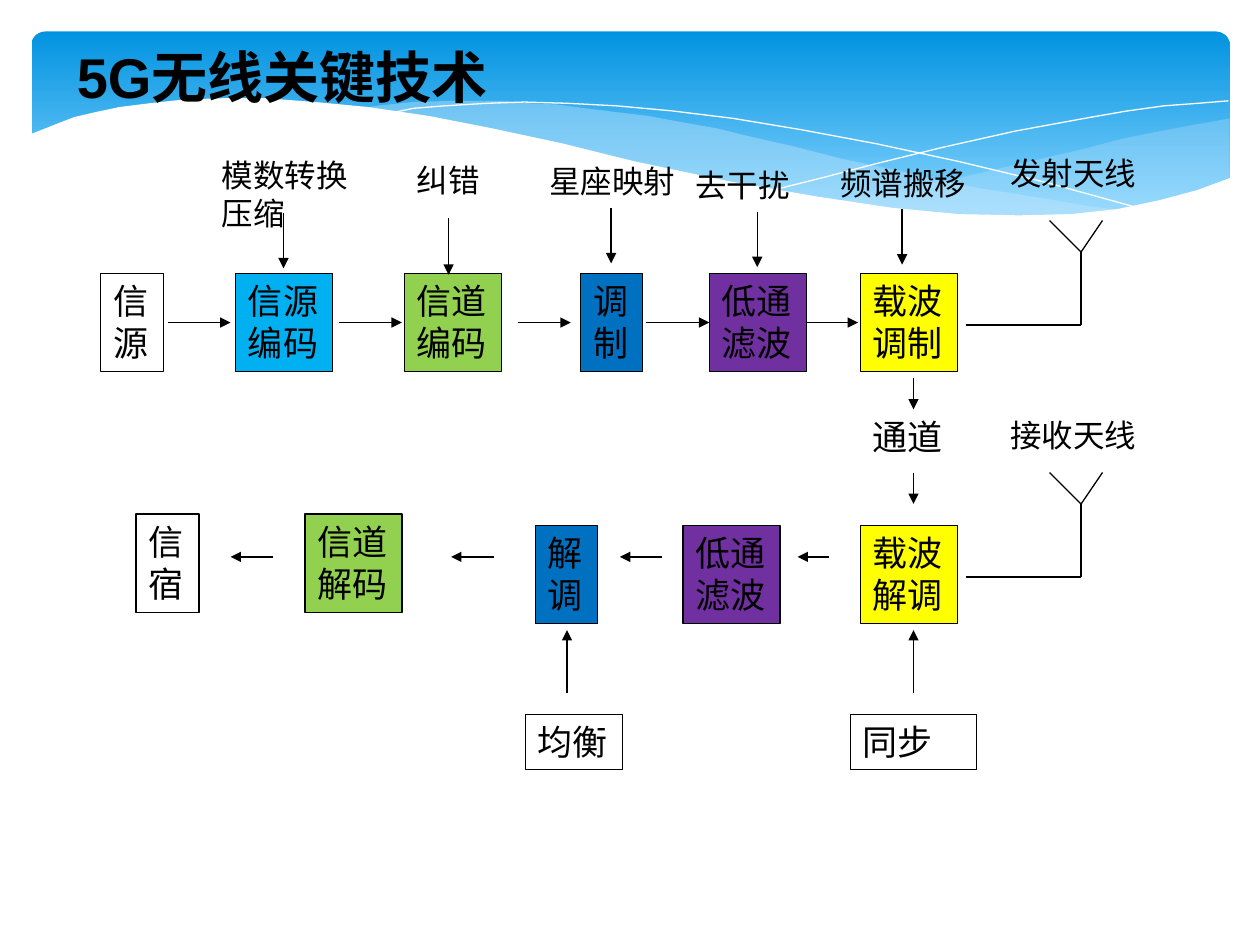
from lxml import etree
from pptx import Presentation
from pptx.dml.color import RGBColor
from pptx.enum.shapes import MSO_CONNECTOR, MSO_SHAPE
from pptx.enum.text import MSO_ANCHOR, MSO_AUTO_SIZE, PP_ALIGN
from pptx.oxml.ns import qn
from pptx.util import Pt

PX = 9144  # 100 px to the inch
LINE = MSO_CONNECTOR.STRAIGHT
RECT, ROUND = MSO_SHAPE.RECTANGLE, MSO_SHAPE.ROUNDED_RECTANGLE
TOP, LEFT, FIT = MSO_ANCHOR.TOP, PP_ALIGN.LEFT, MSO_AUTO_SIZE.SHAPE_TO_FIT_TEXT

BLACK = RGBColor(0, 0, 0)
WHITE = RGBColor(255, 255, 255)
CYAN = RGBColor(0x00, 0xB0, 0xF0)
GREEN = RGBColor(0x92, 0xD0, 0x50)
BLUE = RGBColor(0x00, 0x70, 0xC0)
PURPLE = RGBColor(0x70, 0x30, 0xA0)
YELLOW = RGBColor(0xFF, 0xFF, 0x00)
DEEP = RGBColor(0x02, 0x93, 0xE0)
SKY = RGBColor(0x83, 0xD3, 0xFE)
MIST = RGBColor(0xC6, 0xE7, 0xFC)

TITLE = "5G无线关键技术"

# Banner waves: points, fill, opacity in percent (no fill: a white hairline)
WAVES = [
    ([(976, 94), (948, 99), (921, 104), (891, 110), (861, 118), (805, 131),
      (753, 143), (706, 152), (661, 160), (691, 164), (719, 167), (745, 169),
      (769, 171), (803, 172), (835, 172), (863, 170), (889, 166), (913, 162),
      (935, 156), (963, 147), (976, 141)], MIST, 29),
    ([(893, 167), (866, 164), (837, 159), (807, 154), (775, 149), (741, 142),
      (706, 134), (668, 126), (629, 116), (598, 109), (569, 102), (541, 97),
      (514, 92), (489, 89), (465, 86), (442, 83), (420, 82), (399, 80),
      (361, 80), (328, 81), (299, 84), (286, 86), (323, 90), (362, 97),
      (404, 106), (449, 116), (530, 135), (601, 150), (650, 158), (695, 165),
      (736, 169), (773, 172), (807, 173), (838, 172), (867, 170)], MIST, 40),
    ([(309, 90), (328, 86), (353, 84), (387, 82), (416, 81), (450, 82),
      (489, 84), (533, 88), (582, 94), (636, 103), (695, 114), (760, 128),
      (831, 145), (907, 166)], None, 100),
    ([(613, 151), (653, 141), (695, 130), (748, 117), (806, 104), (866, 93),
      (895, 88), (924, 84), (951, 82), (975, 80)], None, 100),
    ([(977, 141), (950, 151), (920, 159), (887, 166), (850, 170), (809, 171),
      (761, 170), (708, 165), (648, 156), (579, 144), (503, 128), (447, 114),
      (391, 102), (340, 92), (292, 85), (250, 81), (211, 78), (177, 78),
      (146, 79), (119, 82), (95, 85), (76, 89), (59, 93), (46, 98), (36, 102),
      (23, 107), (23, 224), (977, 224)], WHITE, 100),
]

# Boxes: lines, left, top, width, fill
BOXES = [
    (["信", "源"], 80, 217, 50, None),
    (["信源", "编码"], 187, 217, 77, CYAN),
    (["信道", "编码"], 321, 217, 77, GREEN),
    (["调", "制"], 461, 217, 49, BLUE),
    (["低通", "滤波"], 563, 217, 77, PURPLE),
    (["载波", "调制"], 683, 217, 77, YELLOW),
    (["载波", "解调"], 683, 417, 77, YELLOW),
    (["低通", "滤波"], 542, 417, 77, PURPLE),
    (["解", "调"], 425, 417, 49, BLUE),
    (["信道", "解码"], 242, 408, 77, GREEN),
    (["信", "宿"], 108, 408, 50, None),
    (["均衡"], 417, 567, 77, None),
    (["同步"], 675, 567, 100, None),
]
HIGH = {1: 44, 2: 78}  # box height by number of lines

# Labels: lines, left, top, width, size, font
LABELS = [
    (["模数转换", "压缩"], 166, 119, 128, 18, "Calibri"),
    (["纠错"], 321, 123, 77, 18, "Calibri"),
    (["星座映射"], 426, 124, 128, 18, "Calibri"),
    (["去干扰"], 542, 127, 128, 18, "Calibri"),
    (["频谱搬移"], 657, 125, 128, 18, "Calibri"),
    (["发射天线"], 792, 117, 142, 18, "Arial"),
    (["接收天线"], 792, 325, 142, 18, "Arial"),
    (["通道"], 683, 325, 76, 20, "Arial Narrow"),
]

# Arrows
SEND, BACK = 256, 442  # heights of the two chains
ACROSS = [(SEND, 133, 183), (SEND, 269, 319), (SEND, 411, 453),
          (BACK, 658, 633), (BACK, 525, 492), (BACK, 392, 358),
          (BACK, 217, 183)]
DOWN = [(225, 169, 213), (356, 173, 218), (485, 165, 209), (601, 168, 212),
        (716, 166, 210), (725, 300, 325), (725, 375, 400),
        (725, 550, 500), (450, 550, 500)]

# Antennas: fork height, and strokes relative to the fork
FORKS = [200, 400]
FORK_X = 858
STROKES = [(-91, 58, 0, 58), (0, 58, 0, 0), (0, 0, 17, -25), (0, 0, -25, -25)]


def write(shape, rows, size=20, font="Arial Narrow", bold=False, wrap=True):
    frame = shape.text_frame
    frame.text = "\n".join(rows)
    frame.word_wrap = wrap
    frame.auto_size = FIT
    frame.vertical_anchor = TOP
    for para in frame.paragraphs:
        para.alignment = LEFT
        face = para.runs[0].font
        face.size, face.name, face.bold = Pt(size), font, bold
        face.color.rgb = BLACK


def place(shape, *spot):
    shape.left, shape.top, shape.width, shape.height = [v * PX for v in spot]


def wave(points, fill, clear):
    pen = shapes.build_freeform(*points[0], scale=PX)
    pen.add_line_segments(points[1:], close=fill is not None)
    shape = pen.convert_to_shape()
    shape.shadow.inherit = False
    if fill is None:
        shape.fill.background()
        shape.line.color.rgb = WHITE
        shape.line.width = Pt(0)
        return
    shape.line.fill.background()
    shape.fill.solid()
    shape.fill.fore_color.rgb = fill
    if clear < 100:
        tint = shape.element.spPr.find(qn("a:solidFill"))[0]
        etree.SubElement(tint, qn("a:alpha"), val=str(clear * 1000))


def box(rows, x, y, wide, fill):
    shape = shapes.add_shape(RECT, 0, 0, 0, 0)
    place(shape, x, y, wide, HIGH[len(rows)])
    shape.shadow.inherit = False
    if fill is None:
        shape.fill.background()
    else:
        shape.fill.solid()
        shape.fill.fore_color.rgb = fill
    shape.line.color.rgb = BLACK
    shape.line.width = Pt(0.75)
    write(shape, rows, wrap=fill is None)
    return shape


def link(x1, y1, x2, y2, head=True):
    line = shapes.add_connector(LINE, x1 * PX, y1 * PX, x2 * PX, y2 * PX)
    line.line.color.rgb = BLACK
    line.line.width = Pt(0.75)
    if head:
        etree.SubElement(line.line._get_or_add_ln(), qn("a:tailEnd"),
                         type="triangle")
    etree.SubElement(line.element.spPr, qn("a:effectLst"))
    return line


deck = Presentation()
deck.slide_width, deck.slide_height = 1000 * PX, 750 * PX
slide = deck.slides.add_slide(deck.slide_layouts[5])
shapes = slide.shapes

# Banner
band = shapes.add_shape(ROUND, 0, 0, 0, 0)
place(band, 25, 25, 951, 156)
band.adjustments[0] = 0.07
band.shadow.inherit = False
band.line.fill.background()
band.fill.gradient()
band.fill.gradient_angle = 270
for stop, color, pos in zip(band.fill.gradient_stops, (DEEP, SKY), (0, 0.9)):
    stop.color.rgb, stop.position = color, pos
for item in WAVES:
    wave(*item)

# Title, raised above the banner
title = shapes.title
place(title, 51, 29, 859, 64)
write(title, [TITLE], size=32, font="Arial", bold=True)
shapes._spTree.append(title.element)

# Boxes and labels
nodes = [box(*item) for item in BOXES]
for rows, x, y, wide, size, font in LABELS:
    label = shapes.add_textbox(0, 0, 0, 0)
    place(label, x, y, wide, 71 if len(rows) > 1 else 40)
    write(label, rows, size=size, font=font)

# Arrows, two of them joined to the low-pass filter
for y, x1, x2 in ACROSS:
    link(x1, y, x2, y)
for x, y1, y2 in DOWN:
    link(x, y1, x, y2)
link(513, SEND, 563, SEND).end_connect(nodes[4], 1)
link(640, SEND, 681, SEND).begin_connect(nodes[4], 3)

# Antennas
for y in FORKS:
    for x1, y1, x2, y2 in STROKES:
        link(FORK_X + x1, y + y1, FORK_X + x2, y + y2, head=False)

deck.save("out.pptx")
